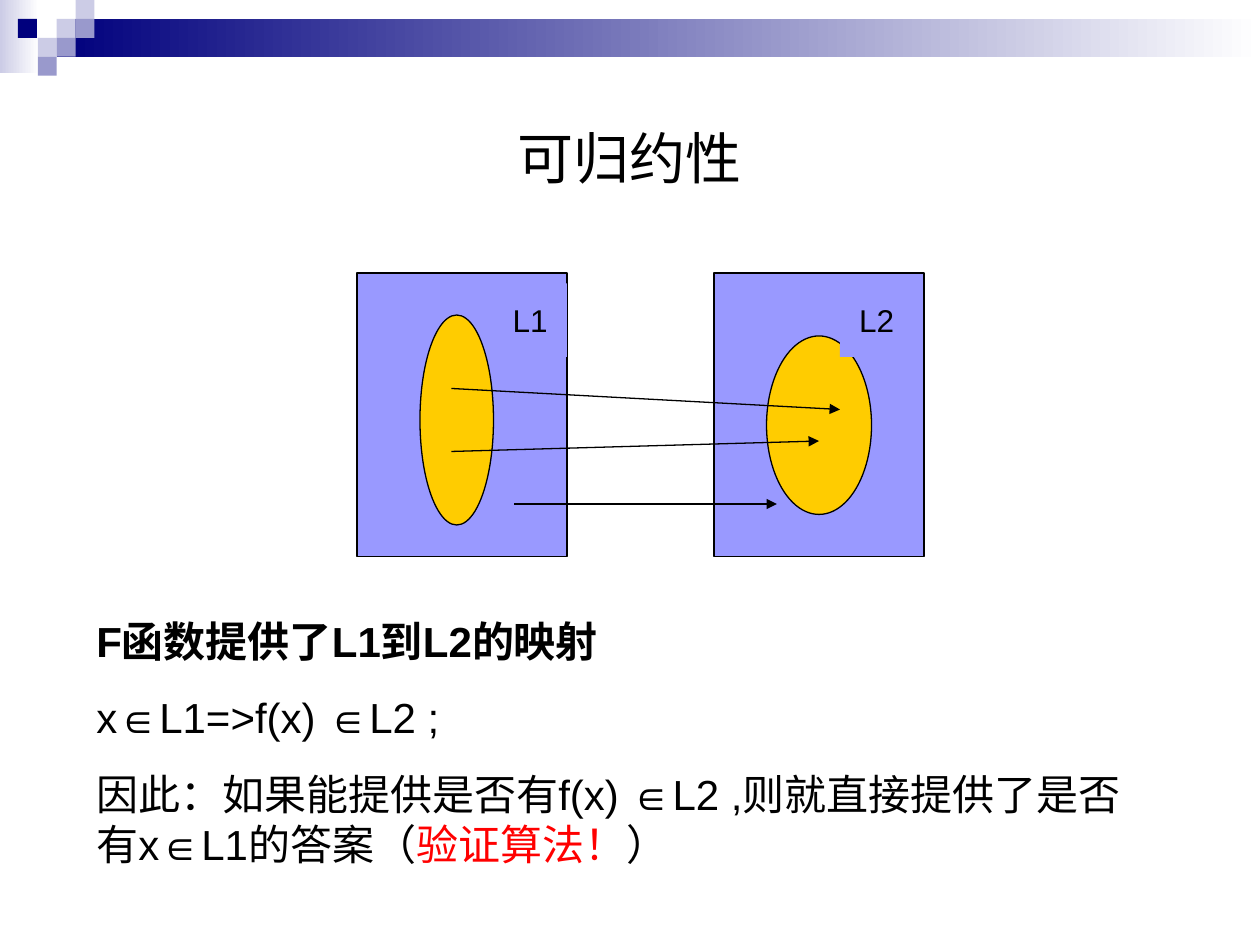
from lxml.etree import SubElement
from pptx import Presentation
from pptx.dml.color import RGBColor
from pptx.enum.shapes import MSO_CONNECTOR, MSO_SHAPE
from pptx.enum.text import MSO_ANCHOR, PP_ALIGN
from pptx.oxml.ns import qn
from pptx.util import Inches, Pt

BLACK = RGBColor(0x00, 0x00, 0x00)
WHITE = RGBColor(0xFF, 0xFF, 0xFF)
RED = RGBColor(0xFF, 0x00, 0x00)
NAVY = RGBColor(0x00, 0x00, 0x7D)
PALE = RGBColor(0xCC, 0xCC, 0xE6)
MID = RGBColor(0x99, 0x99, 0xCC)
LILAC = RGBColor(0x99, 0x99, 0xFF)
GOLD = RGBColor(0xFF, 0xCC, 0x00)

FONT = "Arial"
UNIT = Inches(1) // 12  # grid step of the diagram
TILE = 0.15  # side of a header tile, in inches


def set_font(paragraph, size, bold=False):
    font = paragraph.font
    font.name, font.size, font.bold = FONT, Pt(size), bold
    font.color.rgb = BLACK


def add_shape(slide, kind, box, color, outlined=False, fade=False):
    shape = slide.shapes.add_shape(kind, *box)
    shape.shadow.inherit = False
    if fade:
        shape.fill.gradient()
        shape.fill.gradient_angle = 0
        for stop, stop_color, position in zip(
                shape.fill.gradient_stops, (color, WHITE), (0, 1)):
            stop.color.rgb = stop_color
            stop.position = position
    else:
        shape.fill.solid()
        shape.fill.fore_color.rgb = color
    if outlined:
        shape.line.color.rgb = BLACK
        shape.line.width = Pt(0.75)
    else:
        shape.line.fill.background()
    return shape


def header(slide, width):
    """Fading band with a scatter of tiles at its left end."""
    left = Inches(3 * TILE)
    fades = [((0, 0, Inches(0.31), Inches(0.58)), PALE),
             ((left, Inches(TILE), width - left, Inches(2 * TILE)), NAVY)]
    for box, color in fades:
        add_shape(slide, MSO_SHAPE.RECTANGLE, box, color, fade=True)
    tiles = [(3, 1, PALE), (4, 0, PALE), (4, 1, MID), (2, 2, PALE),
             (0.95, 1, NAVY), (3, 2, MID), (2, 3, MID)]
    for column, row, color in tiles:
        box = [Inches(n * TILE) for n in (column, row, 1, 1)]
        add_shape(slide, MSO_SHAPE.RECTANGLE, box, color)


def heading(slide, box):
    title = slide.shapes.title
    title.left, title.top, title.width, title.height = box
    frame = title.text_frame
    frame.text = "可归约性"
    frame.vertical_anchor = MSO_ANCHOR.MIDDLE
    frame.paragraphs[0].alignment = PP_ALIGN.CENTER
    set_font(frame.paragraphs[0], 32)


def add_arrow(slide, start, end):
    arrow = slide.shapes.add_connector(MSO_CONNECTOR.STRAIGHT, *start, *end)
    arrow.line.color.rgb = BLACK
    arrow.line.width = Pt(0.75)
    SubElement(arrow.line._get_or_add_ln(), qn("a:tailEnd"), type="triangle")
    SubElement(arrow._element.spPr, qn("a:effectLst"))


def mapping_diagram(slide, left, top):
    """Two languages and the mapping between them, in grid units."""
    def place(column, row):
        return left + column * UNIT, top + row * UNIT

    def sized(column, row, columns, rows):
        return *place(column, row), columns * UNIT, rows * UNIT

    # Universes, then the language inside each
    for column in (0, 34):
        add_shape(slide, MSO_SHAPE.RECTANGLE, sized(column, 0, 20, 27),
                  LILAC, outlined=True)
    for cells in ((6, 4, 7, 20), (39, 6, 10, 17)):
        add_shape(slide, MSO_SHAPE.OVAL, sized(*cells), GOLD, outlined=True)

    # Language names
    for name, column in (("L1", 13), ("L2", 46)):
        label = add_shape(slide, MSO_SHAPE.RECTANGLE,
                          sized(column, 1, 7, 7), LILAC)
        frame = label.text_frame
        frame.text = name
        frame.word_wrap = False
        frame.vertical_anchor = MSO_ANCHOR.MIDDLE
        frame.paragraphs[0].alignment = PP_ALIGN.CENTER
        set_font(frame.paragraphs[0], 18)

    # Mapped elements
    for start, end in (((9, 11), (46, 13)), ((9, 17), (44, 16)),
                       ((15, 22), (40, 22))):
        add_arrow(slide, place(*start), place(*end))


def explanation(slide, box):
    frame = slide.shapes.add_textbox(*box).text_frame
    frame.word_wrap = True
    statements = [
        [("F函数提供了L1到L2的映射", BLACK)],
        [("x∈L1=>f(x) ∈L2 ;", BLACK)],
        [("因此：如果能提供是否有f(x) ∈L2 ,则就直接提供了是否有x∈L1的答案（", BLACK),
         ("验证算法！", RED), ("）", BLACK)],
    ]
    for index, statement in enumerate(statements):
        paragraph = frame.add_paragraph() if index else frame.paragraphs[0]
        paragraph.space_before = Pt(15 if index else 0)
        set_font(paragraph, 24, bold=index == 0)
        for text, color in statement:
            run = paragraph.add_run()
            run.text = text
            if color != BLACK:
                run.font.color.rgb = color


def main():
    prs = Presentation()
    prs.slide_width, prs.slide_height = Inches(10), Inches(7.5)
    width = prs.slide_width
    slide = prs.slides.add_slide(prs.slide_layouts[5])
    header(slide, width)
    heading(slide, (Inches(0.5), Inches(0.5), Inches(9), Inches(1.5)))
    explanation(slide, (8 * UNIT, 58 * UNIT, 103 * UNIT, Inches(2.12)))
    mapping_diagram(slide, 34 * UNIT, 26 * UNIT)
    prs.save("out.pptx")


if __name__ == "__main__":
    main()
